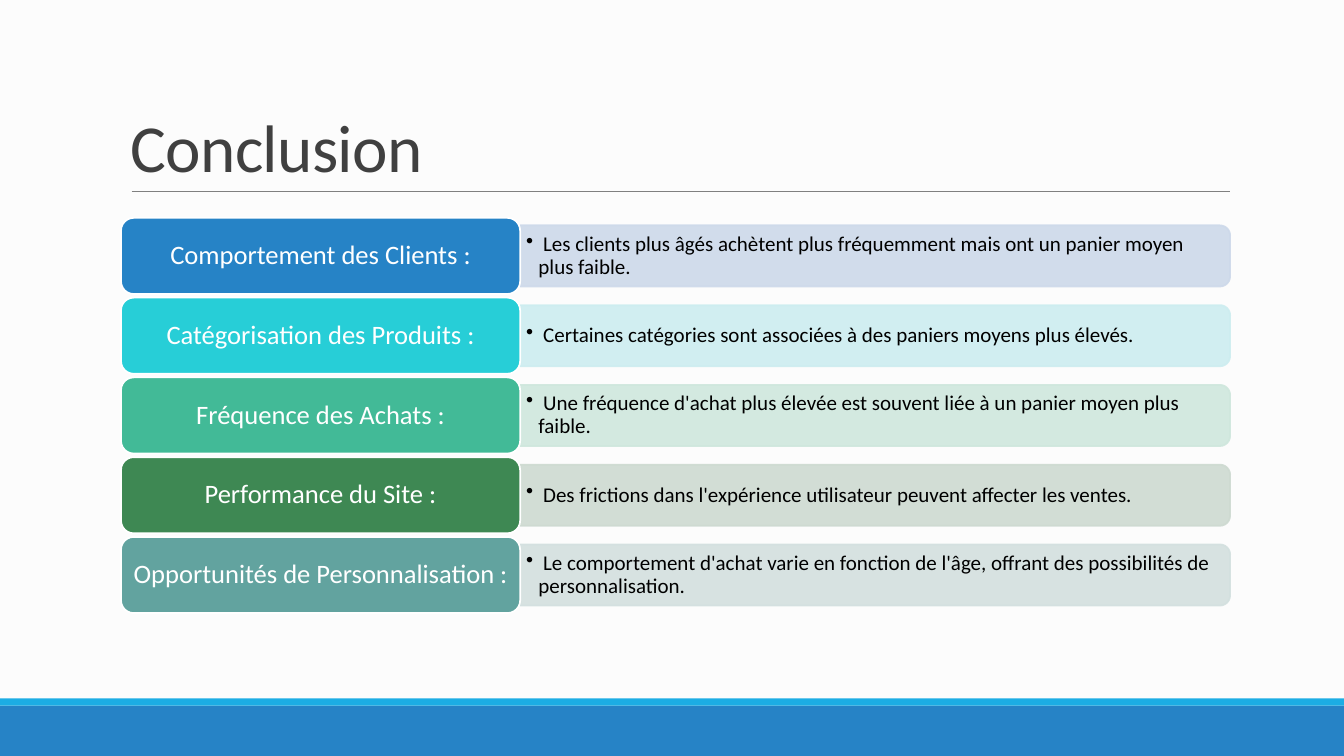
from lxml import etree
from pptx import Presentation
from pptx.dml.color import RGBColor as Rgb
from pptx.enum.shapes import MSO_CONNECTOR as Link, MSO_SHAPE as Geo
from pptx.enum.text import MSO_ANCHOR as Anchor, PP_ALIGN as Align
from pptx.oxml.ns import qn
from pptx.util import Cm, Pt

COLORS = {
    "back": "FCFCFC", "base": "2683C6", "strip": "1CADE4", "rule": "808080",
    "title": "404040", "white": "FFFFFF", "black": "000000",
}
ROWS = [
    ("Comportement des Clients :", "2683C6", "CDD9EA",
     "Les clients plus âgés achètent plus fréquemment mais ont un panier moyen plus faible."),
    ("Catégorisation des Produits :", "27CED7", "CDEDF0",
     "Certaines catégories sont associées à des paniers moyens plus élevés."),
    ("Fréquence des Achats :", "42BA97", "CFE7DD",
     "Une fréquence d'achat plus élevée est souvent liée à un panier moyen plus faible."),
    ("Performance du Site :", "3E8853", "CEDAD1",
     "Des frictions dans l'expérience utilisateur peuvent affecter les ventes."),
    ("Opportunités de Personnalisation :", "62A39F", "D3E0DF",
     "Le comportement d'achat varie en fonction de l'âge, offrant des possibilités de personnalisation."),
]


class Deck:
    font = "Calibri"

    def __init__(self, slide):
        self.slide = slide
        fill = slide.background.fill
        fill.solid()
        fill.fore_color.rgb = self.color("back")

    def color(self, name):
        return Rgb.from_string(COLORS.get(name, name))

    def shape(self, geo, left, top, width, height, fill, line=None):
        item = self.slide.shapes.add_shape(geo, Cm(left), Cm(top), Cm(width), Cm(height))
        item.shadow.inherit = False
        item.fill.solid()
        item.fill.fore_color.rgb = self.color(fill)
        if line:
            item.line.color.rgb = self.color(line)
            item.line.width = Pt(1.25)
        else:
            item.line.fill.background()
        return item

    def bar(self, left, mid, width, height, fill):
        """Flat left end, round right end: a quarter-turned shape."""
        item = self.shape(Geo.ROUND_2_SAME_RECTANGLE, left + (width - height) / 2,
                          mid - width / 2, height, width, fill, fill)
        item.rotation = 90
        for tone in list(item._element.spPr.iter(qn("a:srgbClr"))):
            etree.SubElement(tone, qn("a:alpha"), val="90000")

    def box(self, left, top, width, height):
        return self.slide.shapes.add_textbox(Cm(left), Cm(top), Cm(width), Cm(height))

    def text(self, item, words, size, color, pad, anchor=Anchor.MIDDLE,
             align=Align.LEFT, space=0.9):
        frame = item.text_frame
        frame.word_wrap = True
        frame.vertical_anchor = anchor
        frame.margin_left = frame.margin_right = Cm(pad)
        frame.margin_top = frame.margin_bottom = Cm(pad / 2)
        para = frame.paragraphs[0]
        para.text = words
        para.alignment = align
        para.line_spacing = space
        para.font.name = self.font
        para.font.size = Pt(size)
        para.font.color.rgb = self.color(color)
        return para

    def bullet(self, para, indent):
        props = para._p.get_or_add_pPr()
        props.set("marL", str(Cm(indent)))
        props.set("indent", str(-Cm(indent)))
        mark = etree.Element(qn("a:buChar"), char="•")
        props.find(qn("a:defRPr")).addprevious(mark)

    def rule(self, left, top, right):
        line = self.slide.shapes.add_connector(
            Link.STRAIGHT, Cm(left), Cm(top), Cm(right), Cm(top))
        line.line.color.rgb = self.color("rule")
        line.line.width = Pt(0.5)
        etree.SubElement(line._element.spPr, qn("a:effectLst"))


def main():
    show = Presentation()
    show.slide_width, show.slide_height = Cm(33.87), Cm(19.05)
    deck = Deck(show.slides.add_slide(show.slide_layouts[6]))

    # Footer bands and title rule
    deck.shape(Geo.RECTANGLE, 0, 17.78, 33.87, 1.27, "base")
    deck.shape(Geo.RECTANGLE, 0, 17.6, 33.87, 0.18, "strip")
    deck.rule(3.32, 4.83, 31)

    # Title
    title = deck.text(deck.box(3.05, 0.8, 27.94, 4.03), "Conclusion", 48, "title",
                      0.25, anchor=Anchor.BOTTOM, space=0.85)
    title.runs[0].font._element.set("spc", "-50")

    # Rows: a label and its finding
    left, split, right = 3.05, 13.11, 31
    first, pitch, high = 5.49, 2.01, 1.92
    for i, (label, dark, pale, finding) in enumerate(ROWS):
        top = first + i * pitch
        mid = top + high / 2
        deck.bar(split, mid, right - split, 1.54, pale)
        note = deck.text(deck.box(split, mid - 0.7, 17.8, 1.4), " " + finding,
                         15, "black", 0.15)
        deck.bullet(note, 0.31)
        head = deck.shape(Geo.ROUNDED_RECTANGLE, left, top, split - left, high, dark, "white")
        deck.text(head, label, 19, "white", 0.2, align=Align.CENTER)

    show.save("out.pptx")


if __name__ == "__main__":
    main()
